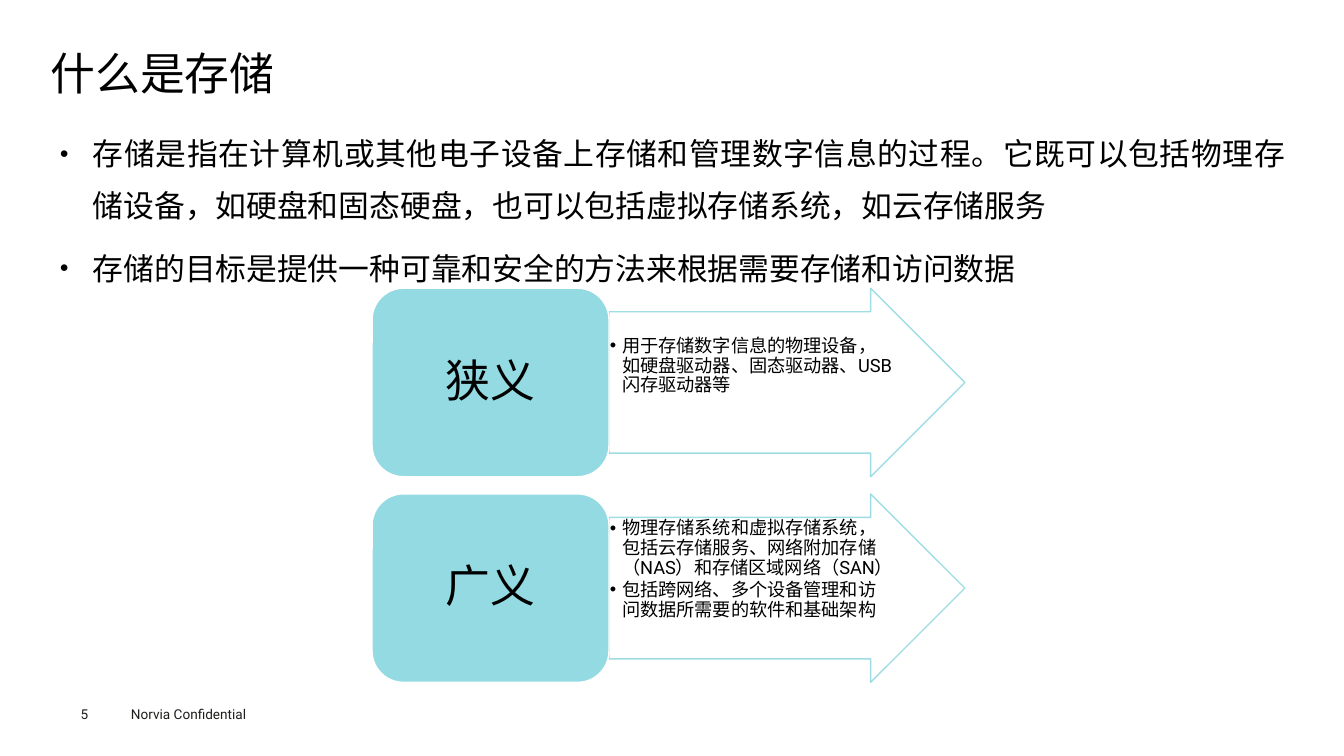
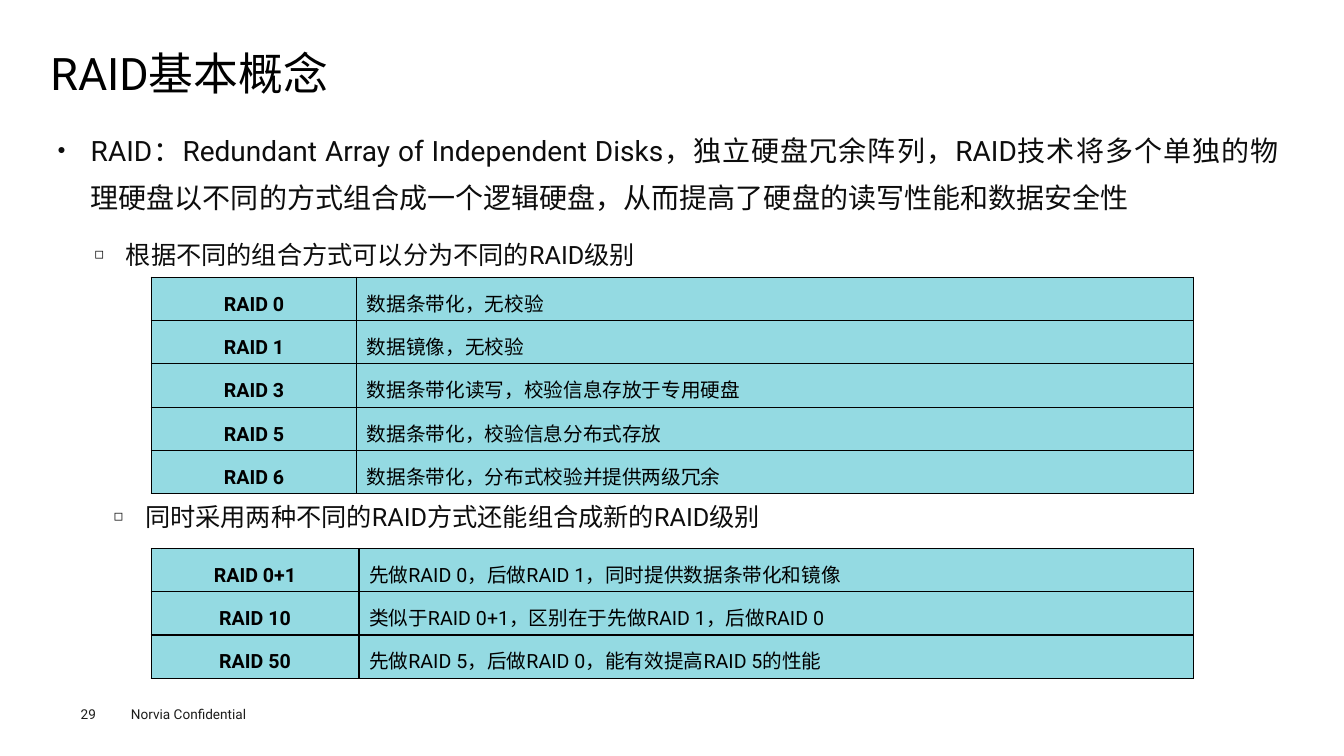
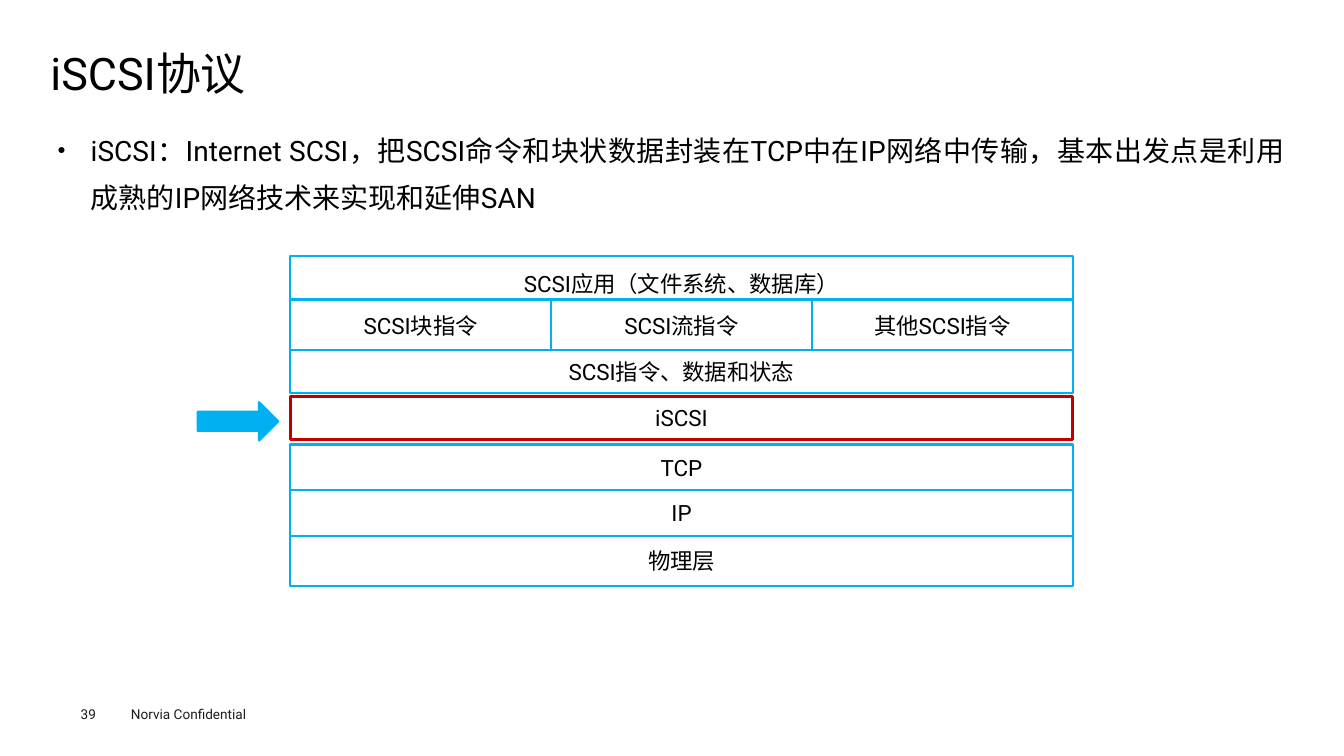
import pptx
import pptx.util
import pptx.dml.color
import pptx.enum.shapes
import pptx.enum.text
import pptx.oxml
import pptx.oxml.ns
import lxml.etree

Inches = pptx.util.Inches
Pt = pptx.util.Pt
MSO = pptx.enum.shapes.MSO_SHAPE
ALIGN = pptx.enum.text.PP_ALIGN
ANCHOR = pptx.enum.text.MSO_ANCHOR
qn = pptx.oxml.ns.qn

COLORS = {
    "black": "000000",
    "ink": "0D0D0D",
    "footer": "1D1D1B",
    "white": "FFFFFF",
    "teal": "94DAE2",
    "blue": "00B0F0",
    "red": "C00000",
}
FONT = "Roboto"


def rgb(name):
    return pptx.dml.color.RGBColor.from_string(COLORS[name])


def write(tf, text, size=16, color="black", bold=False, align=None, spacing=None,
          before=None, after=None, bullet=None, bullet_size=100, indent=0,
          insets=None, anchor=None):
    tf.word_wrap = True
    if insets is not None:
        tf.margin_left = tf.margin_right = Inches(insets[0])
        tf.margin_top = tf.margin_bottom = Inches(insets[1])
    if anchor is not None:
        tf.vertical_anchor = anchor
    first = not tf.paragraphs[0].runs
    p = tf.paragraphs[0] if first else tf.add_paragraph()
    if bullet:
        pPr = p._p.get_or_add_pPr()
        pPr.set("marL", str(Inches(indent)))
        pPr.set("indent", str(-Inches(indent)))
        clr = lxml.etree.SubElement(pPr, qn("a:buClr"))
        lxml.etree.SubElement(clr, qn("a:srgbClr"), val=COLORS[color])
        lxml.etree.SubElement(pPr, qn("a:buSzPct"), val=str(bullet_size * 1000))
        lxml.etree.SubElement(pPr, qn("a:buFont"), typeface="Arial")
        lxml.etree.SubElement(pPr, qn("a:buChar"), char=bullet)
    p.alignment = align
    p.line_spacing = spacing
    p.space_before = Pt(0) if first or before is None else Pt(before)
    if after is not None:
        p.space_after = Pt(after)
    r = p.add_run()
    r.text = text
    r.font.size = Pt(size)
    r.font.bold = bold
    r.font.name = FONT
    r.font.color.rgb = rgb(color)
    lxml.etree.SubElement(r._r.get_or_add_rPr(), qn("a:ea"), typeface=FONT)


prs = pptx.Presentation()
prs.slide_width = Inches(13.33)
prs.slide_height = Inches(7.5)

pages = [
    ("5", "什么是存储", (0.5, 1.15, 12.35, 5.34), 22, "black", [
        "存储是指在计算机或其他电子设备上存储和管理数字信息的过程。它既可以包括物理存储设备，如硬盘和固态硬盘，也可以包括虚拟存储系统，如云存储服务",
        "存储的目标是提供一种可靠和安全的方法来根据需要存储和访问数据",
    ]),
    ("29", "RAID基本概念", (0.48, 1.15, 12.29, 1.75), 20, "ink", [
        "RAID：Redundant Array of Independent Disks，独立硬盘冗余阵列，RAID技术将多个单独的物理硬盘以不同的方式组合成一个逻辑硬盘，从而提高了硬盘的读写性能和数据安全性",
    ]),
    ("39", "iSCSI协议", (0.48, 1.15, 12.35, 5.34), 20, "black", [
        "iSCSI：Internet SCSI，把SCSI命令和块状数据封装在TCP中在IP网络中传输，基本出发点是利用成熟的IP网络技术来实现和延伸SAN",
    ]),
]

for number, title, place, size, color, points in pages:
    s = prs.slides.add_slide(prs.slide_layouts[1])

    sp = s.shapes.add_textbox(Inches(1.2), Inches(6.95), Inches(1.6), Inches(0.27))
    write(sp.text_frame, "Norvia Confidential", size=9.7, color="footer")
    sp = s.shapes.add_textbox(Inches(0.8), Inches(7), Inches(0.55), Inches(0.16))
    write(sp.text_frame, number, size=9.7, color="footer", insets=(0, 0))

    sp = s.shapes.title
    sp.left, sp.top, sp.width, sp.height = map(Inches, (0.5, 0.49, 12.35, 0.53))
    sp.text_frame.auto_size = pptx.enum.text.MSO_AUTO_SIZE.NONE
    write(sp.text_frame, title, size=32, align=ALIGN.LEFT, spacing=0.9,
          insets=(0, 0), anchor=ANCHOR.MIDDLE)

    sp = s.placeholders[1]
    sp.left, sp.top, sp.width, sp.height = map(Inches, place)
    sp.text_frame.auto_size = pptx.enum.text.MSO_AUTO_SIZE.NONE
    for point in points:
        write(sp.text_frame, point, size=size, color=color, align=ALIGN.JUSTIFY,
              spacing=1.4, before=7.9, bullet="●", bullet_size=50, indent=0.33,
              insets=(0.09, 0.04))

storage, raid, iscsi = prs.slides

senses = [
    ("狭义", 2.86, 0.47, ["用于存储数字信息的物理设备，如硬盘驱动器、固态驱动器、USB闪存驱动器等"]),
    ("广义", 4.9, 0.24, [
        "物理存储系统和虚拟存储系统，包括云存储服务、网络附加存储（NAS）和存储区域网络（SAN）",
        "包括跨网络、多个设备管理和访问数据所需要的软件和基础架构",
    ]),
]
for name, top, drop, details in senses:
    sp = storage.shapes.add_shape(MSO.RIGHT_ARROW, Inches(6.04), Inches(top),
                                  Inches(3.53), Inches(1.87))
    sp.adjustments[0] = 0.75
    sp.adjustments[1] = 0.5
    sp.shadow.inherit = False
    sp.fill.background()
    sp.line.color.rgb = rgb("teal")
    sp.line.width = Pt(1)
    clr = sp._element.xpath(".//a:ln//a:srgbClr")[0]
    lxml.etree.SubElement(clr, qn("a:alpha"), val="90000")

    sp = storage.shapes.add_textbox(Inches(6.04), Inches(top + drop),
                                    Inches(2.83), Inches(1.64 - drop))
    for detail in details:
        write(sp.text_frame, detail, size=13, spacing=0.9, after=2, bullet="•",
              indent=0.12, insets=(0.01, 0.01))

    sp = storage.shapes.add_shape(MSO.ROUNDED_RECTANGLE, Inches(3.69), Inches(top),
                                  Inches(2.35), Inches(1.87))
    sp.shadow.inherit = False
    sp.fill.solid()
    sp.fill.fore_color.rgb = rgb("teal")
    sp.line.color.rgb = rgb("white")
    sp.line.width = Pt(1)
    write(sp.text_frame, name, size=32, align=ALIGN.CENTER, spacing=0.9,
          insets=(0.13, 0.07), anchor=ANCHOR.MIDDLE)

row_height = 0.39
levels = [
    ("根据不同的组合方式可以分为不同的RAID级别", (0.84, 2.17, 7.11, 0.51), 2.75, 2.04, [
        ("RAID 0", "数据条带化，无校验"),
        ("RAID 1", "数据镜像，无校验"),
        ("RAID 3", "数据条带化读写，校验信息存放于专用硬盘"),
        ("RAID 5", "数据条带化，校验信息分布式存放"),
        ("RAID 6", "数据条带化，分布式校验并提供两级冗余"),
    ]),
    ("同时采用两种不同的RAID方式还能组合成新的RAID级别", (1.03, 4.77, 8.98, 0.51), 5.44, 2.06, [
        ("RAID 0+1", "先做RAID 0，后做RAID 1，同时提供数据条带化和镜像"),
        ("RAID 10", "类似于RAID 0+1，区别在于先做RAID 1，后做RAID 0"),
        ("RAID 50", "先做RAID 5，后做RAID 0，能有效提高RAID 5的性能"),
    ]),
]
for heading, place, top, name_width, rows in levels:
    sp = raid.shapes.add_textbox(*map(Inches, place))
    write(sp.text_frame, heading, size=18, color="ink", spacing=1.5, bullet="◻",
          bullet_size=60, indent=0.31)

    table = raid.shapes.add_table(len(rows), 2, Inches(1.5), Inches(top), Inches(10.34),
                                  Inches(row_height * len(rows))).table
    table.first_row = False
    table.horz_banding = False
    table.columns[0].width = Inches(name_width)
    table.columns[1].width = Inches(10.34 - name_width)
    for i, row in enumerate(rows):
        for j, text in enumerate(row):
            cell = table.cell(i, j)
            cell.margin_left = cell.margin_right = Inches(0.1)
            cell.margin_top = cell.margin_bottom = Inches(0.04)
            write(cell.text_frame, text, size=14, bold=j == 0, spacing=1.5,
                  align=ALIGN.LEFT if j else ALIGN.CENTER)
            tcPr = cell._tc.get_or_add_tcPr()
            for side in ("lnL", "lnR", "lnT", "lnB"):
                ln = lxml.etree.SubElement(tcPr, qn("a:" + side), w=str(Pt(1)))
                fill = lxml.etree.SubElement(ln, qn("a:solidFill"))
                lxml.etree.SubElement(fill, qn("a:srgbClr"), val=COLORS["black"])
            cell.fill.solid()
            cell.fill.fore_color.rgb = rgb("teal")

sp = iscsi.shapes.add_shape(MSO.RIGHT_ARROW, Inches(1.96), Inches(3.99),
                            Inches(0.8), Inches(0.38))
sp.shadow.inherit = False
sp.fill.solid()
sp.fill.fore_color.rgb = rgb("blue")
sp.line.color.rgb = rgb("blue")
sp.line.width = Pt(1.5)

stack_left, stack_width = 2.88, 7.76
layers = [
    (2.54, 0.43, ["SCSI应用（文件系统、数据库）"]),
    (2.98, 0.49, ["SCSI块指令", "SCSI流指令", "其他SCSI指令"]),
    (3.47, 0.43, ["SCSI指令、数据和状态"]),
    (3.93, 0.43, ["iSCSI"]),
    (4.41, 0.45, ["TCP"]),
    (4.86, 0.46, ["IP"]),
    (5.32, 0.49, ["物理层"]),
]
for top, height, names in layers:
    width = stack_width / len(names)
    for i, name in enumerate(names):
        sp = iscsi.shapes.add_shape(MSO.RECTANGLE, Inches(stack_left + i * width),
                                    Inches(top), Inches(width), Inches(height))
        sp.shadow.inherit = False
        sp.fill.solid()
        sp.fill.fore_color.rgb = rgb("white")
        sp.line.color.rgb = rgb("red" if name == "iSCSI" else "blue")
        sp.line.width = Pt(2.25 if name == "iSCSI" else 1.5)
        write(sp.text_frame, name, align=ALIGN.CENTER, insets=(0, 0),
              spacing=1.4 if top == layers[0][0] else None, anchor=ANCHOR.MIDDLE)

prs.save("out.pptx")
